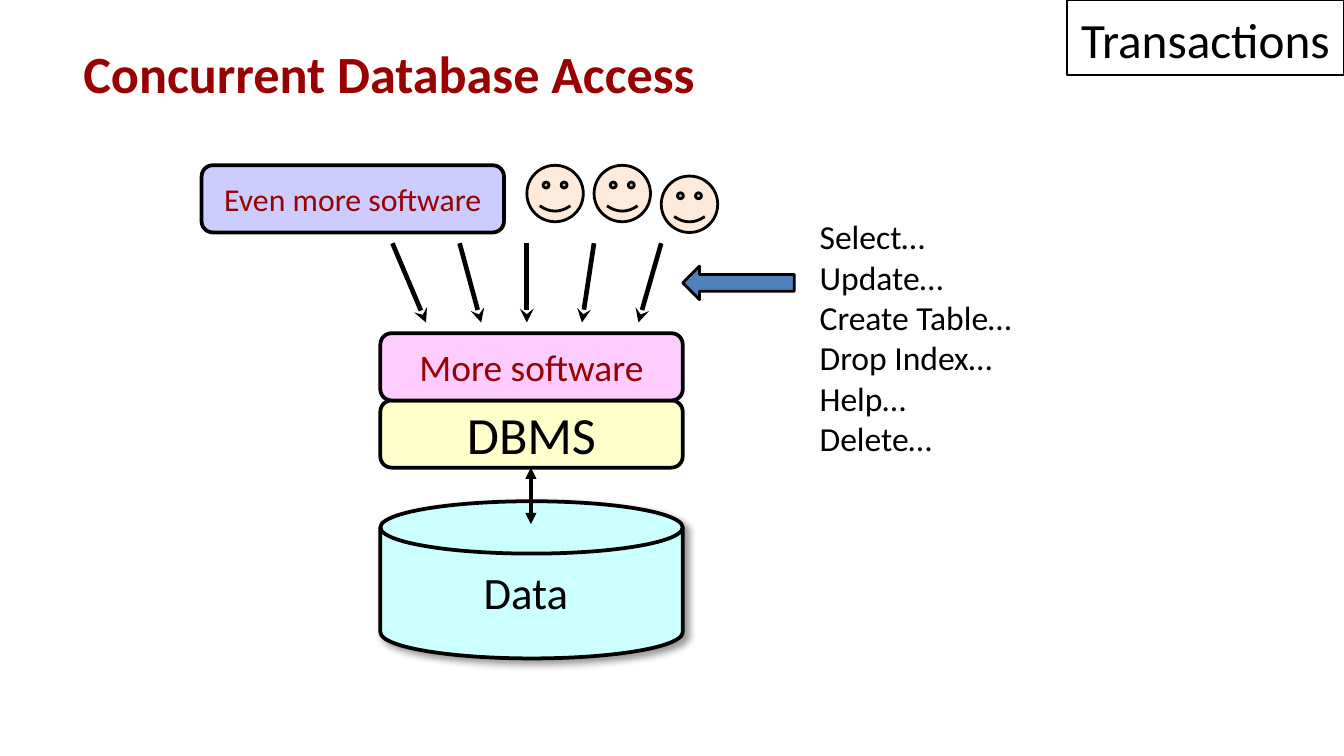
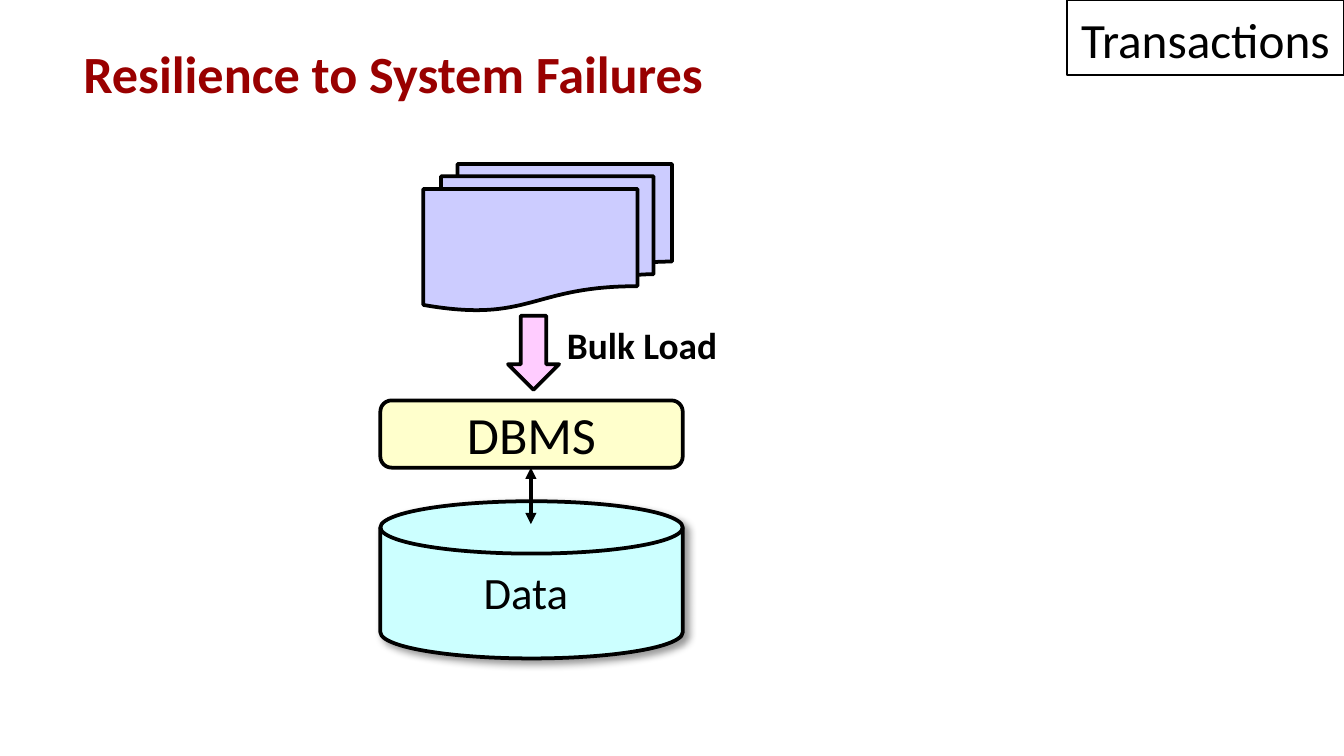
from pptx import Presentation
from pptx.dml.color import RGBColor
from pptx.enum.shapes import MSO_CONNECTOR, MSO_SHAPE
from pptx.enum.text import MSO_ANCHOR, MSO_AUTO_SIZE, PP_ALIGN
from pptx.oxml import parse_xml
from pptx.oxml.ns import nsdecls
from pptx.util import Inches, Pt

LEFT, CENTER = PP_ALIGN.LEFT, PP_ALIGN.CENTER
TOP, MIDDLE, BOTTOM = MSO_ANCHOR.TOP, MSO_ANCHOR.MIDDLE, MSO_ANCHOR.BOTTOM
ROUND, SMILEY = MSO_SHAPE.ROUNDED_RECTANGLE, MSO_SHAPE.SMILEY_FACE
FONT = "Calibri"
COLORS = {
    "red": "990000", "black": "000000",
    "cyan": "CCFFFF", "yellow": "FFFFCC", "pink": "FFCCFF",
    "lilac": "CCCCFF", "skin": "FDEADA", "blue": "4F81BD",
}

# Content
TITLES = ["Concurrent Database Access", "Resilience to System Failures"]
TOPIC = "Transactions"
COMMANDS = ["Select…", "Update…", "Create Table…", "Drop Index…", "Help…", "Delete…"]

# Layout in inches: the stack column and its boxes
STACK_X, BOX_W, BOX_H = 2.83, 2.25, 0.5
DBMS_Y = 2.98
CLIENT_X, CLIENT_STEP, CLIENT_Y = 2.92, 0.5, 1.23
ARROW_TOP, ARROW_BOTTOM = 1.81, 2.4
ARROW_ENDS = [3.17, 3.58, 3.92, 4.33, 4.75]
FACE_TOPS = [CLIENT_Y, CLIENT_Y, 1.31]


def color(name):
    return RGBColor.from_string(COLORS[name])


def style(p, size, name="black", bold=False, align=LEFT):
    p.alignment = align
    p.font.name, p.font.size, p.font.bold = FONT, Pt(size), bold
    p.font.color.rgb = color(name)


def add_shape(s, kind, x, y, w, h, fill=None, line=2):
    sp = s.shapes.add_shape(kind, Inches(x), Inches(y), Inches(w), Inches(h))
    sp.shadow.inherit = False
    if fill:
        sp.fill.solid()
        sp.fill.fore_color.rgb = color(fill)
    else:
        sp.fill.background()
    sp.line.color.rgb = color("black")
    sp.line.width = Pt(line)
    return sp


def add_label(sp, text, size, name="black", anchor=MIDDLE):
    tf = sp.text_frame
    tf.word_wrap = False
    tf.vertical_anchor = anchor
    tf.text = text
    style(tf.paragraphs[0], size, name, align=CENTER)


def add_text(s, x, y, w, h, lines, size, bold=False):
    tf = s.shapes.add_textbox(Inches(x), Inches(y), Inches(w), Inches(h)).text_frame
    tf.word_wrap = False
    tf.auto_size = MSO_AUTO_SIZE.SHAPE_TO_FIT_TEXT
    tf.text = "\n".join(lines)
    for p in tf.paragraphs:
        style(p, size, bold=bold)


def add_arrow(s, x1, y1, x2, y2, width, **ends):
    c = s.shapes.add_connector(MSO_CONNECTOR.STRAIGHT, Inches(x1), Inches(y1),
                               Inches(x2), Inches(y2))
    c.line.color.rgb = color("black")
    c.line.width = Pt(width)
    ln = c._element.spPr.find("{*}ln")
    for end, kind in ends.items():
        ln.append(parse_xml(f'<a:{end} {nsdecls("a")} type="{kind}"/>'))
    c._element.spPr.append(parse_xml(f'<a:effectLst {nsdecls("a")}/>'))


def add_soft_shadow(sp):
    sp._element.spPr.find("{*}effectLst").append(parse_xml(
        f'<a:outerShdw {nsdecls("a")} blurRad="{Pt(4)}" dist="{Pt(3)}" dir="2700000" '
        'algn="tl" rotWithShape="0"><a:srgbClr val="000000"><a:alpha val="40000"/>'
        '</a:srgbClr></a:outerShdw>'))


def add_slide(prs, title):
    """Title, topic tag and the database stack that every slide has."""
    s = prs.slides.add_slide(prs.slide_layouts[5])
    sp = s.shapes.title
    sp.left, sp.top, sp.width, sp.height = map(Inches, (0.42, 0.31, 9.08, 4.98))
    tf = sp.text_frame
    tf.word_wrap = True
    tf.auto_size = MSO_AUTO_SIZE.NONE
    tf.vertical_anchor = TOP
    tf.text = title
    p = tf.paragraphs[0]
    style(p, 28, "red", bold=True)
    p.line_spacing, p.space_after = 0.9, Pt(12)
    pPr = p._p.get_or_add_pPr()
    pPr.set("marL", str(Inches(0.3)))
    pPr.set("indent", str(Inches(-0.2)))

    tag = add_shape(s, MSO_SHAPE.RECTANGLE, 7.94, 0, 2.06, 0.56, line=0.75)
    add_label(tag, TOPIC, 26.4, anchor=BOTTOM)

    disk = add_shape(s, MSO_SHAPE.FLOWCHART_MAGNETIC_DISK, STACK_X, 3.73, BOX_W, 1.17, "cyan")
    add_soft_shadow(disk)
    add_text(s, 3.5, 4.15, 0.84, 0.5, ["Data"], 24)
    dbms = add_shape(s, ROUND, STACK_X, DBMS_Y, BOX_W, BOX_H, "yellow")
    add_label(dbms, "DBMS", 28)
    add_arrow(s, 3.95, DBMS_Y + BOX_H, 3.95, 3.9, 2, headEnd="triangle", tailEnd="triangle")
    return s


prs = Presentation()
prs.slide_width = Inches(10)
prs.slide_height = prs.slide_width * 9 // 16
access, failures = [add_slide(prs, title) for title in TITLES]

# Concurrent access: software layers, users and their commands
more = add_shape(access, ROUND, STACK_X, DBMS_Y - BOX_H, BOX_W, BOX_H, "pink")
add_label(more, "More software", 20, "red")
for i, end in enumerate(ARROW_ENDS):
    add_arrow(access, CLIENT_X + i * CLIENT_STEP, ARROW_TOP, end, ARROW_BOTTOM, 2.5,
              tailEnd="stealth")
even_more = add_shape(access, ROUND, 1.5, CLIENT_Y, BOX_W, BOX_H, "lilac")
add_label(even_more, "Even more software", 17, "red")
for i, y in enumerate(FACE_TOPS, start=2):
    add_shape(access, SMILEY, CLIENT_X + i * CLIENT_STEP, y, 0.42, 0.42, "skin", 1.5)
add_shape(access, MSO_SHAPE.LEFT_ARROW, 5.08, 1.98, 0.83, 0.25, "blue", 1.5)
add_text(access, 6, 1.56, 1.65, 1.92, COMMANDS, 18)

# System failures: bulk load of documents
add_shape(failures, MSO_SHAPE.FLOWCHART_MULTIDOCUMENT, 3.15, 1.22, 1.85, 1.09, "lilac")
add_shape(failures, MSO_SHAPE.DOWN_ARROW, 3.78, 2.35, 0.38, 0.55, "pink")
add_text(failures, 4.12, 2.35, 1.34, 0.44, ["Bulk Load"], 20, bold=True)

prs.save("out.pptx")
